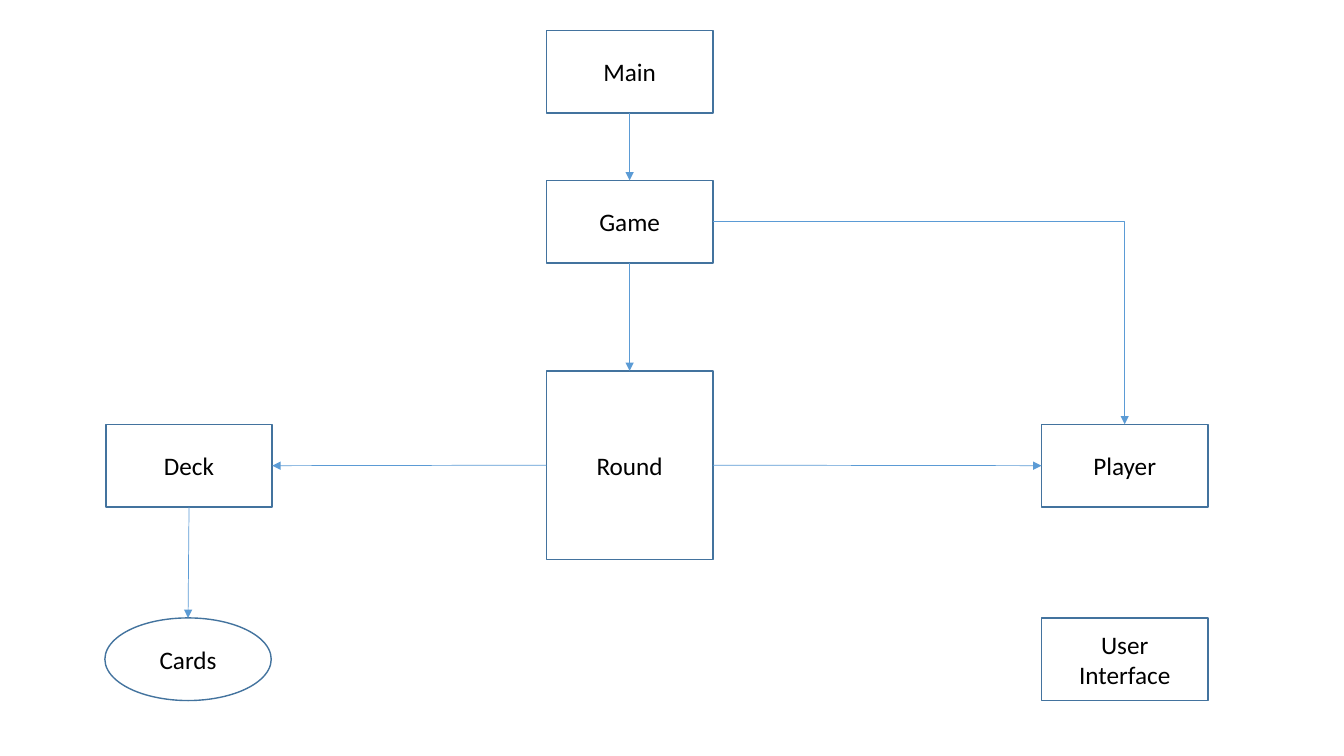
"""Draw the class diagram of a card game."""
from dataclasses import dataclass

import pptx
import pptx.dml.color
import pptx.enum.shapes
import pptx.enum.text
import pptx.oxml
import pptx.oxml.ns
import pptx.shapes.autoshape
import pptx.slide
import pptx.util

Inches = pptx.util.Inches
RGB = pptx.dml.color.RGBColor
Shape = pptx.enum.shapes.MSO_SHAPE
Connector = pptx.enum.shapes.MSO_CONNECTOR
qn = pptx.oxml.ns.qn

TOP, LEFT, BOTTOM, RIGHT = range(4)


@dataclass(frozen=True)
class Theme:
    font: str = "Calibri"
    size: float = 18
    text: RGB = RGB(0x00, 0x00, 0x00)
    border: RGB = RGB(0x43, 0x73, 0x9E)
    border_width: float = 1
    arrow: RGB = RGB(0x5B, 0x9B, 0xD5)
    arrow_width: float = 0.5


@dataclass(frozen=True)
class Node:
    label: str
    left: float
    top: float
    height: float = 0.82
    width: float = 1.65
    kind: Shape = Shape.RECTANGLE


@dataclass(frozen=True)
class Arrow:
    start: str
    start_site: int
    end: str
    end_site: int
    bent: bool = False


THEME = Theme()
CENTER_X, RIGHT_X = 5.42, 10.33
MIDDLE_Y, BOTTOM_Y = 4.21, 6.13

NODES = [
    Node("Cards", 1.04, BOTTOM_Y, kind=Shape.OVAL),
    Node("Deck", 1.05, MIDDLE_Y),
    Node("Round", CENTER_X, 3.68, height=1.87),
    Node("Player", RIGHT_X, MIDDLE_Y),
    Node("Game", CENTER_X, 1.79),
    Node("Main", CENTER_X, 0.3),
    Node("User\nInterface", RIGHT_X, BOTTOM_Y),
]

ARROWS = [
    Arrow("Main", BOTTOM, "Game", TOP),
    Arrow("Game", BOTTOM, "Round", TOP),
    Arrow("Round", LEFT, "Deck", RIGHT),
    Arrow("Round", RIGHT, "Player", LEFT),
    Arrow("Deck", BOTTOM, "Cards", TOP),
    Arrow("Game", RIGHT, "Player", TOP, bent=True),
]


def add_node(s: pptx.slide.Slide, node: Node) -> pptx.shapes.autoshape.Shape:
    sp = s.shapes.add_shape(
        node.kind, Inches(node.left), Inches(node.top), Inches(node.width), Inches(node.height)
    )
    sp.shadow.inherit = False
    sp.fill.background()
    sp.line.color.rgb = THEME.border
    sp.line.width = pptx.util.Pt(THEME.border_width)
    tf = sp.text_frame
    tf.text = node.label
    tf.vertical_anchor = pptx.enum.text.MSO_ANCHOR.MIDDLE
    for p in tf.paragraphs:
        p.alignment = pptx.enum.text.PP_ALIGN.CENTER
        p.font.name = THEME.font
        p.font.size = pptx.util.Pt(THEME.size)
        p.font.color.rgb = THEME.text
    return sp


def add_arrow(
    s: pptx.slide.Slide, arrow: Arrow, shapes: dict[str, pptx.shapes.autoshape.Shape]
) -> None:
    kind = Connector.ELBOW if arrow.bent else Connector.STRAIGHT
    c = s.shapes.add_connector(kind, 0, 0, 0, 0)
    c.begin_connect(shapes[arrow.start], arrow.start_site)
    c.end_connect(shapes[arrow.end], arrow.end_site)
    c.line.color.rgb = THEME.arrow
    c.line.width = pptx.util.Pt(THEME.arrow_width)
    props = c._element.spPr
    if arrow.bent:
        props.find(qn("a:prstGeom")).set("prst", "bentConnector2")
    head = pptx.oxml.parse_xml(f'<a:tailEnd {pptx.oxml.ns.nsdecls("a")} type="triangle"/>')
    props.find(qn("a:ln")).append(head)
    props.append(pptx.oxml.parse_xml(f'<a:effectLst {pptx.oxml.ns.nsdecls("a")}/>'))


def main() -> None:
    prs = pptx.Presentation()
    prs.slide_width, prs.slide_height = Inches(13.33), Inches(7.5)
    s = prs.slides.add_slide(prs.slide_layouts[6])
    shapes = {node.label: add_node(s, node) for node in NODES}
    for arrow in ARROWS:
        add_arrow(s, arrow, shapes)
    prs.save("out.pptx")


if __name__ == "__main__":
    main()
